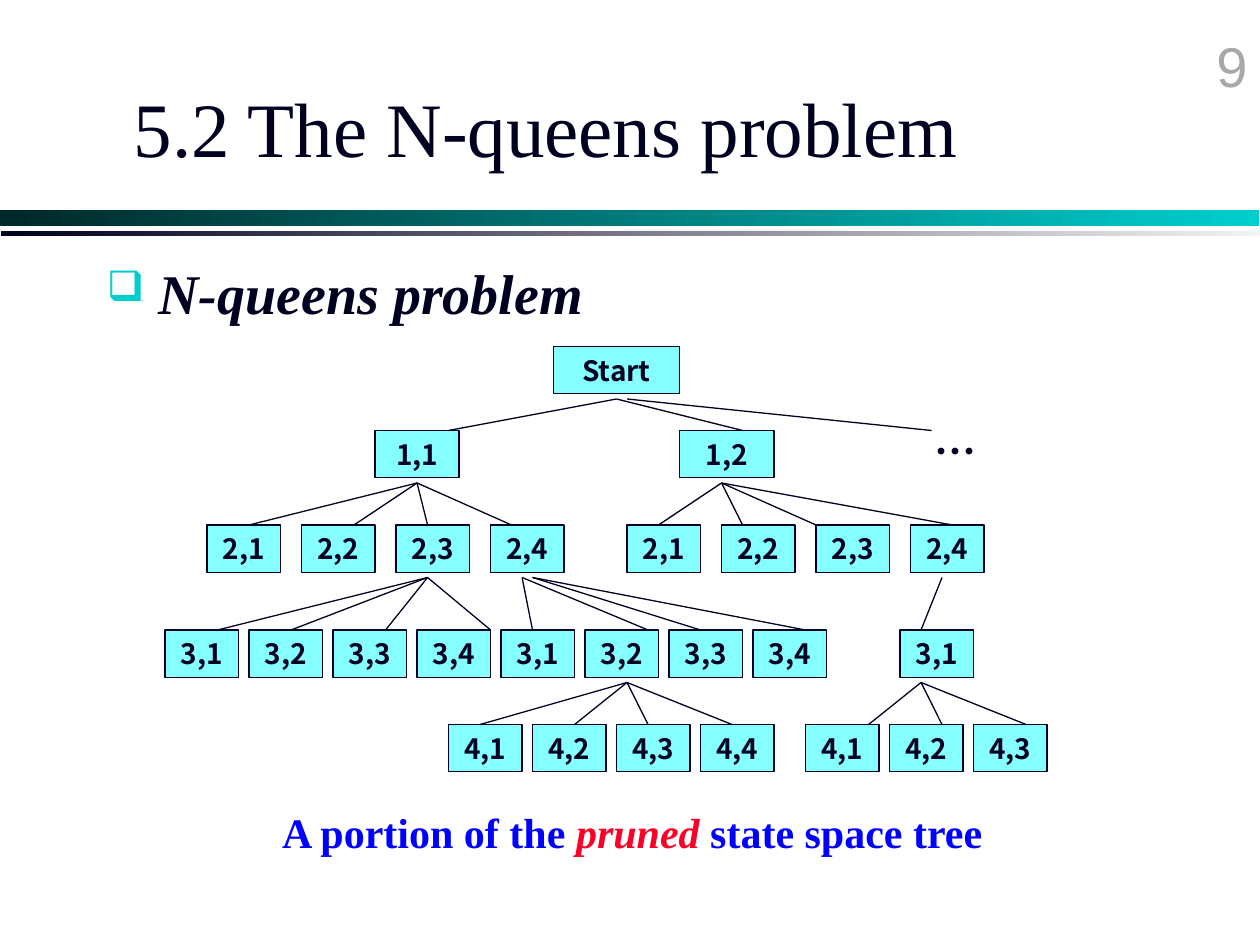
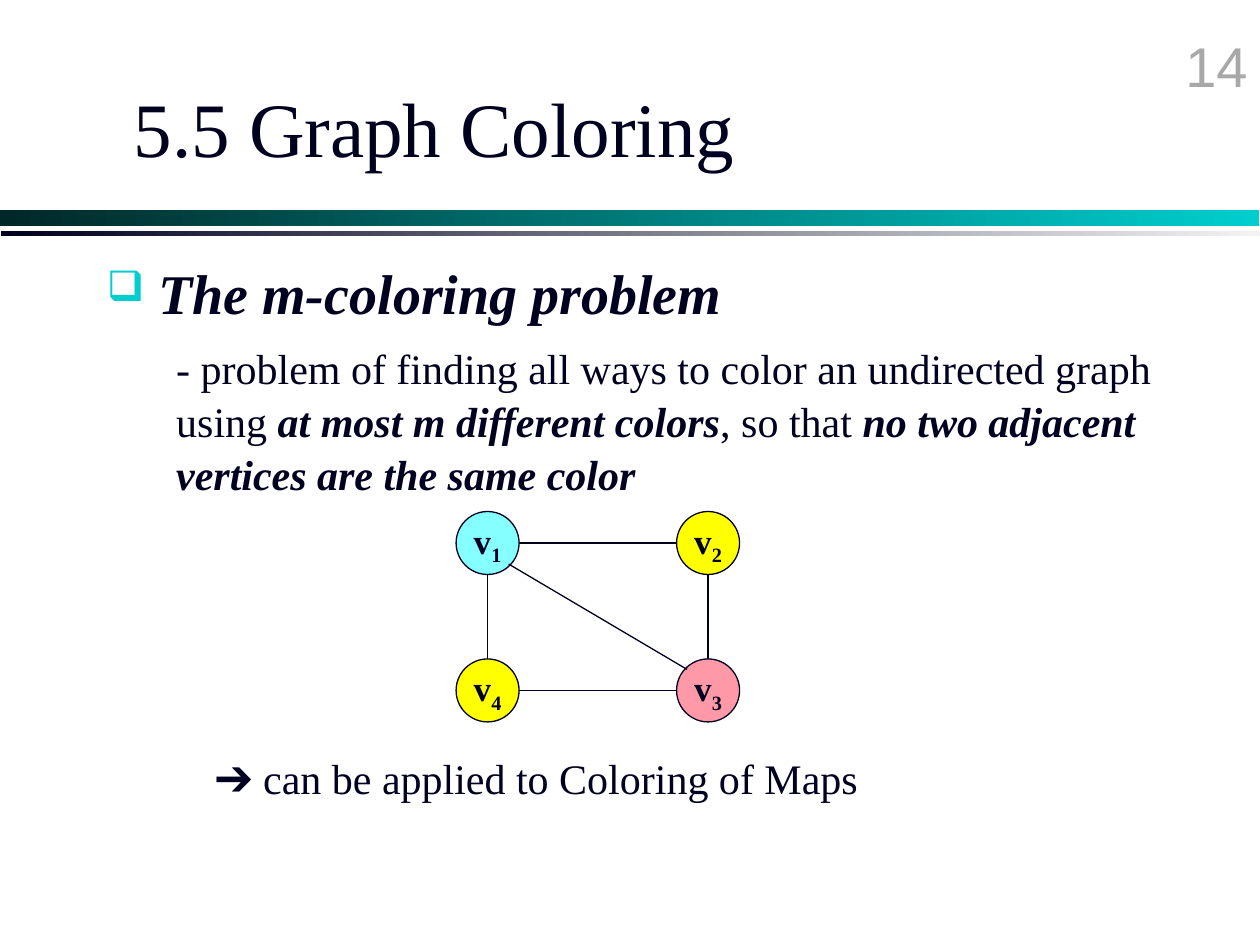
from dataclasses import dataclass

from lxml import etree
from pptx import Presentation
from pptx.dml.color import RGBColor
from pptx.enum.shapes import MSO_CONNECTOR, MSO_SHAPE
from pptx.enum.text import MSO_ANCHOR, PP_ALIGN
from pptx.oxml.ns import qn
from pptx.util import Inches, Pt

COLORS = {
    "ink": "000020", "number": "A8A8A8", "bullet": "00CECE",
    "teal dark": "002828", "teal": "00CECE", "silver": "F3F3F3",
    "cyan": "85FFFF", "yellow": "FFFF00", "pink": "FF99A8",
    "blue": "0000FF", "red": "FC0128",
}
SERIF, SANS, NODE_FONT = "Times New Roman", "Arial", "Noto Sans CJK KR"

# The tree stands on a grid of twelfths of an inch, shifted slightly right.
CELL = 1 / 12
TREE_LEFT = 0.06
ROW_TOPS = (33, 41, 50, 60, 69)
NODE_HEIGHT = 4.5
FAN_DROP = 5

RADIUS = 0.25
VERTEX_COLUMNS = (3.87, 5.62)
VERTEX_ROWS = (4.31, 5.48)


@dataclass(frozen=True)
class Span:
    text: str
    bold: bool = False
    italic: bool = False
    color: str = "ink"
    baseline: int = 0


@dataclass(frozen=True)
class Siblings:
    """Equal nodes side by side; all lengths are grid cells."""
    row: int
    column: int
    labels: tuple[str, ...]
    step: int = 8
    width: int = 7


@dataclass(frozen=True)
class Fan:
    """Lines from one point under a row to points on top of the next row."""
    row: int
    apex: int
    ends: tuple[int, ...]


@dataclass(frozen=True)
class Vertex:
    number: int
    column: int
    row: int
    color: str

    @property
    def centre(self) -> tuple[float, float]:
        return VERTEX_COLUMNS[self.column], VERTEX_ROWS[self.row]


SECOND_QUEENS = ("2,1", "2,2", "2,3", "2,4")
THIRD_QUEENS = ("3,1", "3,2", "3,3", "3,4")
FOURTH_QUEENS = ("4,1", "4,2", "4,3", "4,4")
NODES = (
    Siblings(0, 52, ("Start",), width=12),
    Siblings(1, 35, ("1,1",), width=8),
    Siblings(1, 64, ("1,2",), width=9),
    Siblings(2, 19, SECOND_QUEENS, step=9),
    Siblings(2, 59, SECOND_QUEENS, step=9),
    Siblings(3, 15, THIRD_QUEENS),
    Siblings(3, 47, THIRD_QUEENS),
    Siblings(3, 85, THIRD_QUEENS[:1]),
    Siblings(4, 42, FOURTH_QUEENS),
    Siblings(4, 76, FOURTH_QUEENS[:3]),
)
FANS = (
    Fan(0, 58, (42, 70)),
    Fan(0, 59, (88,)),
    Fan(1, 39, (23, 33, 40, 48)),
    Fan(1, 68, (62, 70, 77, 90)),
    Fan(2, 40, (20, 27, 36, 46)),
    Fan(2, 49, (50, 61)),
    Fan(2, 50, (66, 76)),
    Fan(2, 89, (87,)),
    Fan(3, 59, (45, 54, 61, 69)),
    Fan(3, 87, (82, 89, 97)),
)
VERTICES = (
    Vertex(1, 0, 0, "cyan"), Vertex(2, 1, 0, "yellow"),
    Vertex(3, 1, 1, "pink"), Vertex(4, 0, 1, "yellow"),
)
EDGES = ((1, 2), (2, 3), (4, 3), (1, 4), (1, 3))


def rgb(name: str) -> RGBColor:
    return RGBColor.from_string(COLORS[name])


def write(frame, *spans: Span, size: float, font: str = SERIF, align=PP_ALIGN.LEFT,
          anchor=MSO_ANCHOR.TOP, wrap: bool = True, before: float = 0,
          line_spacing: float | None = None):
    """Fill a text frame with one paragraph of spans and return the paragraph."""
    frame.word_wrap = wrap
    frame.vertical_anchor = anchor
    para = frame.paragraphs[0]
    para.alignment = align
    para.space_before = Pt(before)
    para.line_spacing = line_spacing
    for span in spans:
        run = para.add_run()
        run.text = span.text
        run.font.name, run.font.size = font, Pt(size)
        run.font.bold, run.font.italic = span.bold, span.italic
        run.font.color.rgb = rgb(span.color)
        properties = run.font._element
        etree.SubElement(properties, qn("a:ea")).set("typeface", font)
        if span.baseline:
            properties.set("baseline", str(span.baseline * 1000))
    return para


def add_text(page, left: float, top: float, width: float, height: float,
             *spans: Span, **style):
    box = page.shapes.add_textbox(*map(Inches, (left, top, width, height)))
    return write(box.text_frame, *spans, **style)


def add_preset(page, kind, left: float, top: float, width: float, height: float):
    shape = page.shapes.add_shape(kind, *map(Inches, (left, top, width, height)))
    shape.shadow.inherit = False
    return shape


def add_outlined(page, kind, left: float, top: float, width: float, height: float,
                 color: str, *spans: Span, **style) -> None:
    shape = add_preset(page, kind, left, top, width, height)
    shape.fill.solid()
    shape.fill.fore_color.rgb = rgb(color)
    shape.line.color.rgb = rgb("ink")
    shape.line.width = Pt(0.75)
    frame = shape.text_frame
    frame.margin_left = frame.margin_right = 0
    write(frame, *spans, align=PP_ALIGN.CENTER, anchor=MSO_ANCHOR.MIDDLE,
          wrap=False, **style)


def add_line(page, start: tuple[float, float], end: tuple[float, float]) -> None:
    line = page.shapes.add_connector(MSO_CONNECTOR.STRAIGHT, *map(Inches, start + end))
    line.line.color.rgb = rgb("ink")
    line.line.width = Pt(0.75)
    etree.SubElement(line._element.spPr, qn("a:effectLst"))


def add_band(page, left: float, top: float, height: float, first: str, last: str) -> None:
    band = add_preset(page, MSO_SHAPE.RECTANGLE, left, top, 9.99, height)
    band.line.fill.background()
    band.fill.gradient()
    band.fill.gradient_angle = 0
    for stop, color, position in zip(band.fill.gradient_stops, (first, last), (0, 1)):
        stop.color.rgb = rgb(color)
        stop.position = position


def add_bullet(para, mark: str, hang: float) -> None:
    properties = para._p.get_or_add_pPr()
    properties.set("marL", str(Inches(hang)))
    properties.set("indent", str(-Inches(hang)))
    color = etree.SubElement(properties, qn("a:buClr"))
    etree.SubElement(color, qn("a:srgbClr")).set("val", COLORS["bullet"])
    etree.SubElement(properties, qn("a:buSzPct")).set("val", "75000")
    etree.SubElement(properties, qn("a:buChar")).set("char", mark)


def add_page(deck, number: int, title: str, topic: str):
    """Add a slide with the shared bands, number, title and bulleted topic."""
    page = deck.slides.add_slide(deck.slide_layouts[5])
    add_band(page, 0, 1.67, 0.12, "teal dark", "teal")
    add_band(page, 0.01, 1.83, 0.04, "ink", "silver")
    add_text(page, 7.92, 0.2, 2.08, 0.5, Span(str(number), color="number"),
             size=32, font=SANS, align=PP_ALIGN.RIGHT)
    heading = page.shapes.title
    heading.left, heading.top = Inches(0.96), Inches(0.38)
    heading.width, heading.height = Inches(8.52), Inches(1.25)
    write(heading.text_frame, Span(title), size=44, anchor=MSO_ANCHOR.MIDDLE)
    para = add_text(page, 0.75, 2, 8.66, 0.88, Span(" "),
                    Span(topic, bold=True, italic=True), size=32, before=4)
    add_bullet(para, "❑", 0.29)
    return page


def tree_x(column: float) -> float:
    return TREE_LEFT + column * CELL


def add_siblings(page, group: Siblings) -> None:
    for index, label in enumerate(group.labels):
        add_outlined(page, MSO_SHAPE.RECTANGLE, tree_x(group.column + index * group.step),
                     ROW_TOPS[group.row] * CELL, group.width * CELL, NODE_HEIGHT * CELL,
                     "cyan", Span(label, bold=True), size=16, font=NODE_FONT)


def add_fan(page, fan: Fan) -> None:
    apex = tree_x(fan.apex), (ROW_TOPS[fan.row] + FAN_DROP) * CELL
    for end in fan.ends:
        add_line(page, apex, (tree_x(end), ROW_TOPS[fan.row + 1] * CELL))


def add_edge(page, start: Vertex, end: Vertex) -> None:
    """Join two circles, with the ends of a diagonal at two thirds of the radius."""
    across, down = end.column - start.column, end.row - start.row
    reach = RADIUS * 2 / 3 if across and down else RADIUS
    (x1, y1), (x2, y2) = start.centre, end.centre
    add_line(page, (x1 + across * reach, y1 + down * reach),
             (x2 - across * reach, y2 - down * reach))


def add_queens_page(deck) -> None:
    page = add_page(deck, 9, "5.2 The N-queens problem", "N-queens problem")
    for group in NODES:
        add_siblings(page, group)
    for fan in FANS:
        add_fan(page, fan)
    add_text(page, 7.32, 3.33, 0.83, 0.5, Span("…", bold=True), size=24, font=NODE_FONT)
    add_text(page, 2.14, 6.35, 6.17, 0.5,
             Span("A portion of the ", bold=True, color="blue"),
             Span("pruned", bold=True, italic=True, color="red"),
             Span(" state space tree", bold=True, color="blue"), size=24, before=2)


def add_coloring_page(deck) -> None:
    page = add_page(deck, 14, "5.5 Graph Coloring", "The m-coloring problem")
    add_text(page, 1.3, 2.65, 7.95, 1.31,
             Span("- problem of finding all ways to color an undirected graph using "),
             Span("at most m different colors", bold=True, italic=True),
             Span(", so that "),
             Span("no two adjacent vertices are the same color", bold=True, italic=True),
             size=24, before=2, line_spacing=1.05)
    add_text(page, 1.61, 5.92, 6.46, 0.5, Span("➔ can be applied to Coloring of Maps"),
             size=24, before=2)
    for vertex in VERTICES:
        x, y = vertex.centre
        add_outlined(page, MSO_SHAPE.OVAL, x - RADIUS, y - RADIUS, 2 * RADIUS, 2 * RADIUS,
                     vertex.color, Span("v", bold=True),
                     Span(str(vertex.number), bold=True, baseline=-25), size=20)
    by_number = {vertex.number: vertex for vertex in VERTICES}
    for start, end in EDGES:
        add_edge(page, by_number[start], by_number[end])


def main() -> None:
    deck = Presentation()
    deck.slide_width, deck.slide_height = Inches(10), Inches(7.5)
    add_queens_page(deck)
    add_coloring_page(deck)
    deck.save("out.pptx")


if __name__ == "__main__":
    main()
